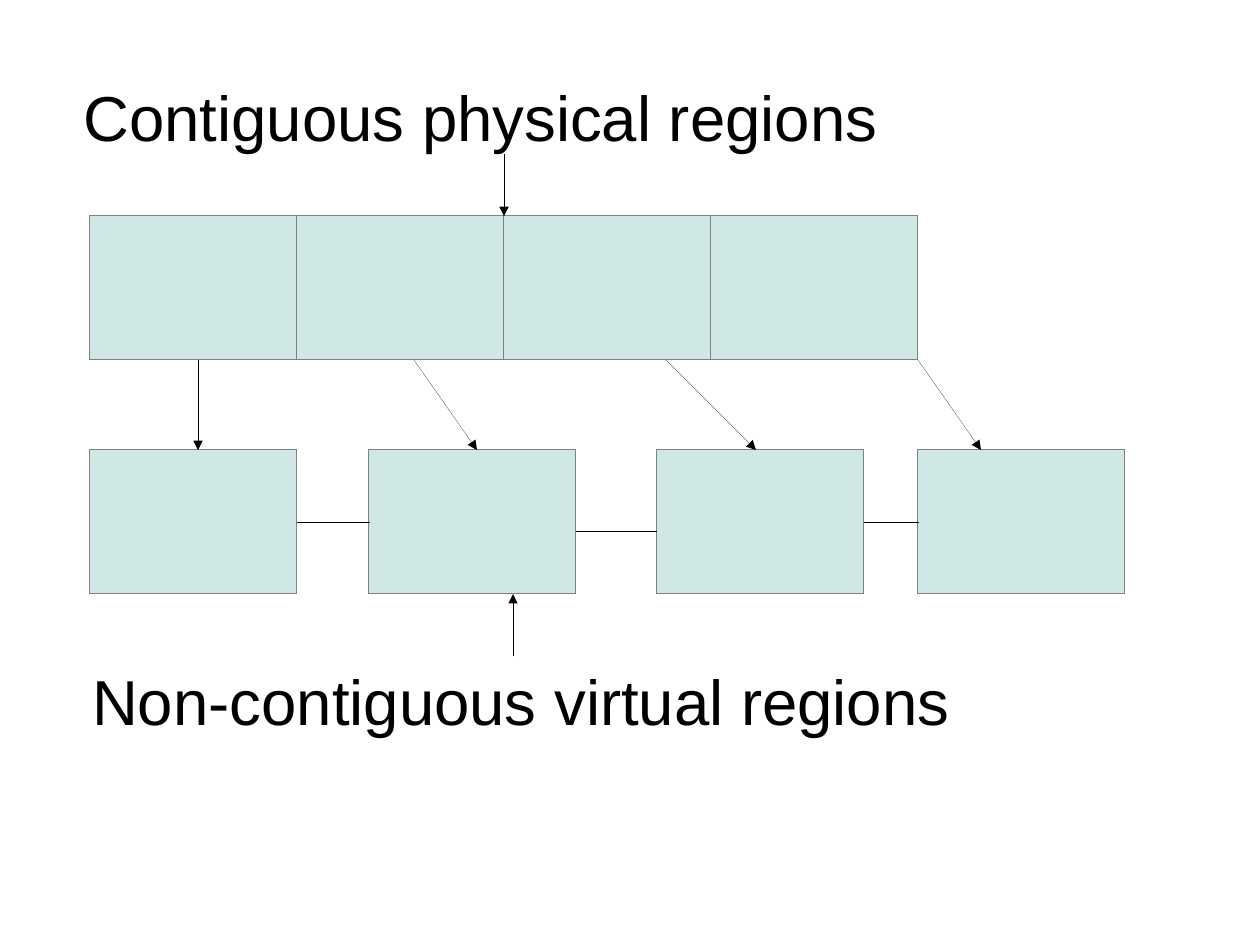
from dataclasses import dataclass

from lxml import etree
from pptx import Presentation
from pptx.dml.color import RGBColor
from pptx.enum.shapes import MSO_CONNECTOR, MSO_SHAPE
from pptx.enum.text import MSO_ANCHOR, MSO_AUTO_SIZE, PP_ALIGN
from pptx.oxml.ns import qn
from pptx.util import Emu, Pt

RECTANGLE = MSO_SHAPE.RECTANGLE
STRAIGHT = MSO_CONNECTOR.STRAIGHT
TOP = MSO_ANCHOR.TOP
LEFT = PP_ALIGN.LEFT
NO_AUTOFIT = MSO_AUTO_SIZE.NONE

PX = 3600  # ten px to the millimetre
HAIRLINE = Emu(1)
FONT = "Arial"
COLORS = {"region": "CFE7E5", "border": "808080", "ink": "000000"}
LEFT_SIDE, RIGHT_SIDE = 1, 3  # connection sites of a rectangle

SLIDE_W, SLIDE_H = 2800, 2100
REGION_W, REGION_H = 460, 320
PHYSICAL_TOP, VIRTUAL_TOP = 480, 1000
PHYSICAL_BOTTOM = PHYSICAL_TOP + REGION_H
VIRTUAL_BOTTOM = VIRTUAL_TOP + REGION_H
PHYSICAL_LEFTS = [200 + i * REGION_W for i in range(4)]
VIRTUAL_LEFTS = [200, 820, 1460, 2040]


@dataclass(frozen=True)
class Link:
    start: tuple[int, int]
    end: tuple[int, int]
    arrow: bool = True


@dataclass(frozen=True)
class Label:
    text: str
    left: int
    top: int
    width: int
    height: int = 183


PHYSICAL_LABEL = Label("Contiguous physical regions", 160, 160, 2300)
VIRTUAL_LABEL = Label("Non-contiguous virtual regions", 180, 1458, 2320)

MAPPINGS = [
    Link((x1, PHYSICAL_BOTTOM), (x2, VIRTUAL_TOP))
    for x1, x2 in [(440, 440), (920, 1060), (1480, 1680), (2040, 2180)]
]
LABEL_ARROWS = [
    Link((1120, PHYSICAL_LABEL.top + PHYSICAL_LABEL.height), (1120, PHYSICAL_TOP)),
    Link((1140, VIRTUAL_LABEL.top), (1140, VIRTUAL_BOTTOM)),
]


def px(length: int) -> Emu:
    return Emu(length * PX)


def color(name: str) -> RGBColor:
    return RGBColor.from_string(COLORS[name])


def add_region(slide, left: int, top: int):
    region = slide.shapes.add_shape(
        RECTANGLE, px(left), px(top), px(REGION_W), px(REGION_H))
    region.shadow.inherit = False
    region.fill.solid()
    region.fill.fore_color.rgb = color("region")
    region.line.color.rgb = color("border")
    region.line.width = HAIRLINE
    return region


def add_link(slide, link: Link):
    line = slide.shapes.add_connector(
        STRAIGHT, *(px(v) for v in link.start + link.end))
    line.line.color.rgb = color("ink")
    line.line.width = HAIRLINE
    properties = line._element.spPr
    if link.arrow:
        etree.SubElement(properties.find(qn("a:ln")), qn("a:tailEnd"), type="triangle")
    etree.SubElement(properties, qn("a:effectLst"))
    return line


def write_label(shape, label: Label) -> None:
    shape.left, shape.top = px(label.left), px(label.top)
    shape.width, shape.height = px(label.width), px(label.height)
    frame = shape.text_frame
    frame.word_wrap = True
    frame.auto_size = NO_AUTOFIT
    frame.vertical_anchor = TOP
    paragraph = frame.paragraphs[0]
    paragraph.alignment = LEFT
    run = paragraph.add_run()
    run.text = label.text
    run.font.name = FONT
    run.font.size = Pt(40)
    run.font.color.rgb = color("ink")


def main() -> None:
    deck = Presentation()
    deck.slide_width, deck.slide_height = px(SLIDE_W), px(SLIDE_H)
    slide = deck.slides.add_slide(deck.slide_layouts[5])

    # Labels
    write_label(slide.shapes.title, PHYSICAL_LABEL)
    write_label(slide.shapes.add_textbox(0, 0, 0, 0), VIRTUAL_LABEL)

    # Memory regions
    for left in PHYSICAL_LEFTS:
        add_region(slide, left, PHYSICAL_TOP)
    virtual = [add_region(slide, left, VIRTUAL_TOP) for left in VIRTUAL_LEFTS]

    # Chain of virtual regions; the second link sits below the middle
    middle = VIRTUAL_TOP + REGION_H // 2
    for i, y in enumerate([middle, middle + 20, middle]):
        chain = add_link(slide, Link(
            (VIRTUAL_LEFTS[i] + REGION_W, y), (VIRTUAL_LEFTS[i + 1], y), arrow=False))
        if y == middle:
            chain.begin_connect(virtual[i], RIGHT_SIDE)
            chain.end_connect(virtual[i + 1], LEFT_SIDE)

    # Arrows from physical to virtual, and from the labels
    for arrow in MAPPINGS + LABEL_ARROWS:
        add_link(slide, arrow)

    deck.save("out.pptx")


if __name__ == "__main__":
    main()
